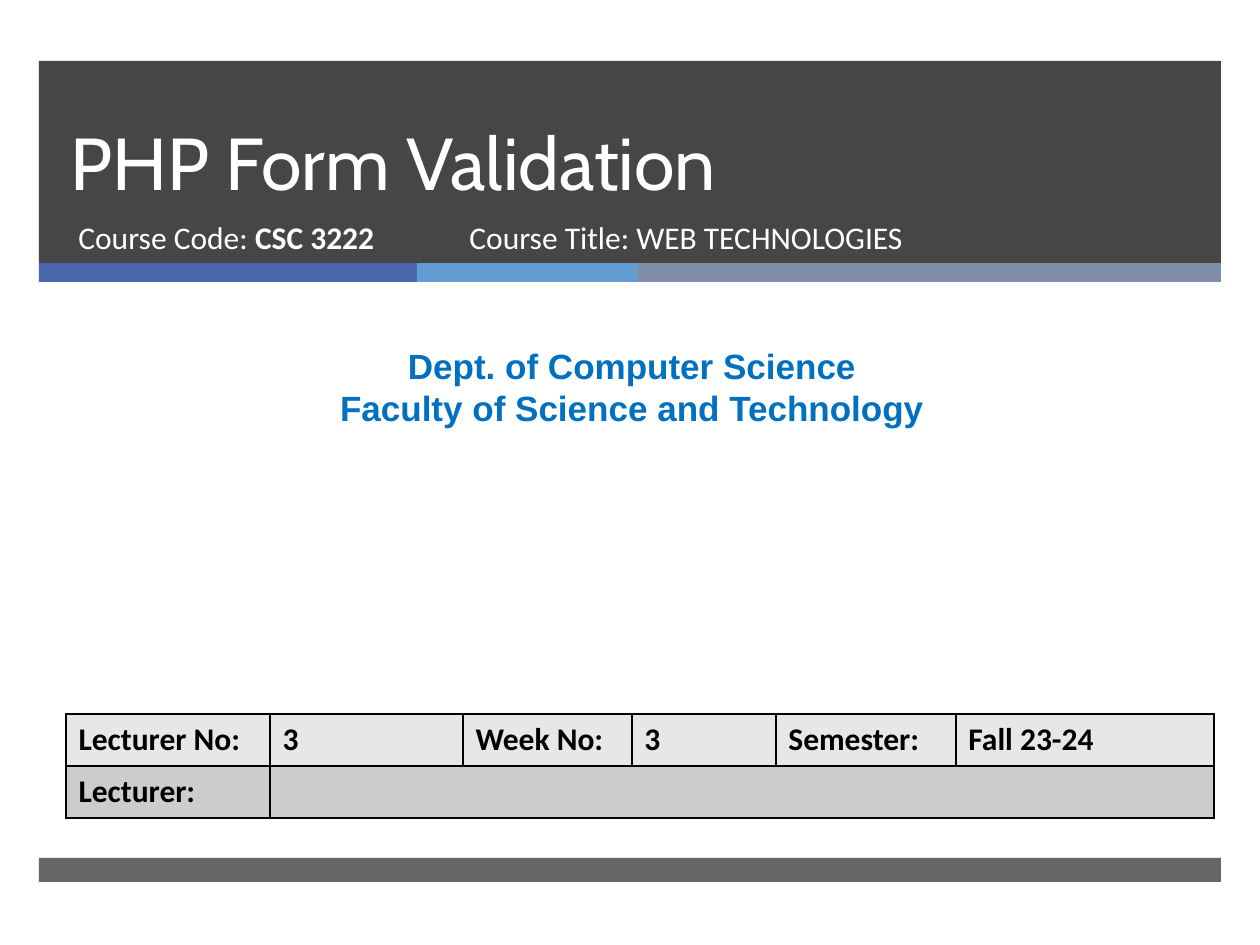
"""Build the title slide of a lecture on PHP form validation."""
from lxml.etree import SubElement
from pptx import Presentation
from pptx.dml.color import RGBColor
from pptx.enum.shapes import MSO_SHAPE
from pptx.enum.text import MSO_ANCHOR, PP_ALIGN
from pptx.oxml.ns import qn
from pptx.util import Emu, Pt

SCALE = 914400 / 126
HUES = {"dark": "262626", "blue": "4A66AC", "sky": "629DD1", "slate": "7F8FA9",
        "dept": "0070C0", "white": "FFFFFF", "black": "000000",
        "light": "E7E7E7", "grey": "CCCCCC"}


def px(*nums):
    return [Emu(round(num * SCALE)) for num in nums]


def write(par, text, size=18, font="Calibri", hue="white", bold=False, align=None):
    run = par.add_run()
    run.text = text
    run.font.size = Pt(size)
    run.font.name = font
    run.font.bold = bold
    run.font.color.rgb = RGBColor.from_string(HUES[hue])
    par.alignment = align


deck = Presentation()
deck.slide_width, deck.slide_height = px(1260, 945)
slide = deck.slides.add_slide(deck.slide_layouts[6])
shapes = slide.shapes

bars = [(39, 61, 1182, 202, "dark", 85),
        (39, 263, 378, 19, "blue", 100),
        (417, 263, 221, 19, "sky", 100),
        (638, 263, 583, 19, "slate", 100),
        (39, 858, 1182, 24, "dark", 70)]
for left, top, width, height, hue, alpha in bars:
    bar = shapes.add_shape(MSO_SHAPE.RECTANGLE, *px(left, top, width, height))
    bar.shadow.inherit = False
    bar.line.fill.background()
    bar.fill.solid()
    bar.fill.fore_color.rgb = RGBColor.from_string(HUES[hue])
    if alpha < 100:
        tint = bar._element.spPr.find(qn("a:solidFill"))[0]
        SubElement(tint, qn("a:alpha"), val=str(alpha * 1000))

places = [(58, 61, 1076, 150), (66, 212, 384, 66),
          (10, 338, 1244, 97), (457, 212, 574, 66)]
frames = []
for place in places:
    frame = shapes.add_textbox(*px(*place)).text_frame
    frame.word_wrap = True
    frames.append(frame)
title, code, dept, course = frames

title.vertical_anchor = MSO_ANCHOR.BOTTOM
title.paragraphs[0].line_spacing = Pt(46)
write(title.paragraphs[0], "PHP Form Validation", size=42, font="Cabin")
write(code.paragraphs[0], "Course Code: ")
write(code.paragraphs[0], "CSC 3222", bold=True)
write(course.paragraphs[0], "Course Title: WEB TECHNOLOGIES")
look = {"size": 20, "font": "Arial", "hue": "dept", "bold": True, "align": PP_ALIGN.CENTER}
write(dept.paragraphs[0], "Dept. of Computer Science", **look)
write(dept.add_paragraph(), "Faculty of Science and Technology", **look)

rows = [("light", ["Lecturer No:", "3", "Week No:", "3", "Semester:", "Fall 23-24"]),
        ("grey", ["Lecturer:", "", "", "", "", ""])]
widths = [204, 193, 169, 144, 180, 258]
grid = shapes.add_table(2, 6, *px(66, 714, sum(widths), 104)).table
for col, width in zip(grid.columns, px(*widths)):
    col.width = width
for row, (hue, texts) in enumerate(rows):
    grid.rows[row].height = px(52)[0]
    for col, text in enumerate(texts):
        cell = grid.cell(row, col)
        props = cell._tc.get_or_add_tcPr()
        for side in ("lnL", "lnR", "lnT", "lnB"):
            edge = SubElement(props, qn(f"a:{side}"), w=str(Pt(1)))
            paint = SubElement(edge, qn("a:solidFill"))
            SubElement(paint, qn("a:srgbClr"), val=HUES["black"])
        cell.fill.solid()
        cell.fill.fore_color.rgb = RGBColor.from_string(HUES[hue])
        if text:
            write(cell.text_frame.paragraphs[0], text, hue="black", bold=True)
grid.cell(1, 1).merge(grid.cell(1, 5))

deck.save("out.pptx")
